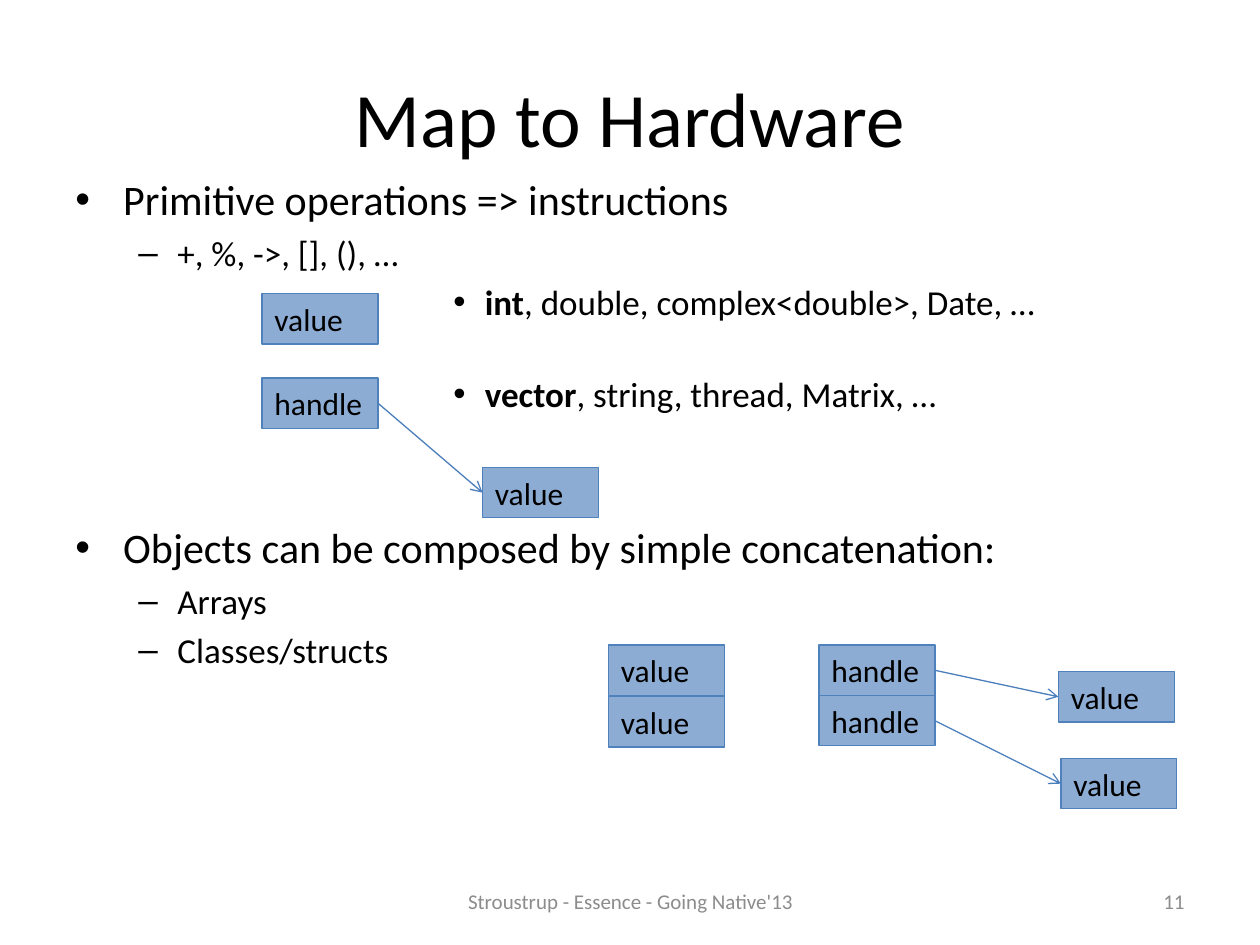
import pptx
import pptx.util
import pptx.dml.color
import pptx.enum.shapes
import pptx.enum.text
import pptx.oxml.ns
from lxml import etree

Inches = pptx.util.Inches
Pt = pptx.util.Pt
RGBColor = pptx.dml.color.RGBColor
ALIGN = pptx.enum.text.PP_ALIGN
ANCHOR = pptx.enum.text.MSO_ANCHOR
qn = pptx.oxml.ns.qn

BLACK = RGBColor(0x00, 0x00, 0x00)
GREY = RGBColor(0x8C, 0x8C, 0x8C)
BLUE = RGBColor(0x4F, 0x81, 0xBD)
ARROW_BLUE = RGBColor(0x4B, 0x7E, 0xBC)
FONT = "Calibri"
BOX_WIDTH, BOX_HEIGHT = 0.92, 0.4
RIGHT_SIDE, LEFT_SIDE = 3, 1

# level: bullet, text indent and hanging indent in inches
LEVELS = {
    "main": ("•", 0.38, 0.38),
    "sub": ("–", 0.81, 0.31),
    "example": ("•", 3.25, 0.25),
}
# level, size, space before, runs of (text, bold)
BULLETS = [
    ("main", 24, 0, [("Primitive operations => instructions", False)]),
    ("sub", 20, 4, [("+, %, ->, [], (), …", False)]),
    ("example", 20, 4, [("int", True),
                        (", double, complex<double>, Date, …", False)]),
    ("example", 20, 29, [("vector", True),
                         (", string, thread, Matrix, …", False)]),
    ("main", 24, 61, [("Objects can be composed by simple concatenation:", False)]),
    ("sub", 20, 4, [("Arrays", False)]),
    ("sub", 20, 4, [("Classes/structs", False)]),
]


def add_run(p, text, size, color=BLACK, bold=False):
    r = p.add_run()
    r.text = text
    r.font.name = FONT
    r.font.size = Pt(size)
    r.font.bold = bold
    r.font.color.rgb = color


def add_text_frame(s, left, top, width, height, anchor=ANCHOR.MIDDLE):
    tf = s.shapes.add_textbox(Inches(left), Inches(top),
                              Inches(width), Inches(height)).text_frame
    tf.word_wrap = True
    tf.vertical_anchor = anchor
    return tf


def add_label(s, text, left, top, width, height, size, color, align):
    p = add_text_frame(s, left, top, width, height).paragraphs[0]
    p.alignment = align
    add_run(p, text, size, color)


def set_bullet(p, level):
    char, indent, hanging = LEVELS[level]
    pPr = p._p.get_or_add_pPr()
    pPr.set("marL", str(Inches(indent)))
    pPr.set("indent", str(-Inches(hanging)))
    etree.SubElement(pPr, qn("a:buFont"), typeface="Arial")
    etree.SubElement(pPr, qn("a:buChar"), char=char)


def add_bullets(s):
    tf = add_text_frame(s, 0.5, 1.33, 9, 5.58, ANCHOR.TOP)
    for i, (level, size, before, runs) in enumerate(BULLETS):
        p = tf.add_paragraph() if i else tf.paragraphs[0]
        set_bullet(p, level)
        p.space_before = Pt(before)
        for text, bold in runs:
            add_run(p, text, size, bold=bold)


def add_box(s, text, left, top):
    """Add a translucent memory cell."""
    box = s.shapes.add_shape(pptx.enum.shapes.MSO_SHAPE.RECTANGLE,
                             Inches(left), Inches(top),
                             Inches(BOX_WIDTH), Inches(BOX_HEIGHT))
    box.shadow.inherit = False
    box.fill.solid()
    box.fill.fore_color.rgb = BLUE
    color = box._element.spPr.find(qn("a:solidFill")).find(qn("a:srgbClr"))
    etree.SubElement(color, qn("a:alpha"), val="65000")
    box.line.color.rgb = BLUE
    box.line.width = Pt(0.75)
    tf = box.text_frame
    tf.word_wrap = True
    tf.auto_size = pptx.enum.text.MSO_AUTO_SIZE.SHAPE_TO_FIT_TEXT
    tf.vertical_anchor = ANCHOR.TOP
    p = tf.paragraphs[0]
    p.alignment = ALIGN.LEFT
    add_run(p, text, 18)
    return box


def add_arrow(s, start, end):
    arrow = s.shapes.add_connector(pptx.enum.shapes.MSO_CONNECTOR.STRAIGHT, 0, 0, 0, 0)
    arrow.begin_connect(start, RIGHT_SIDE)
    arrow.end_connect(end, LEFT_SIDE)
    arrow.line.color.rgb = ARROW_BLUE
    arrow.line.width = Pt(0.75)
    etree.SubElement(arrow.line._get_or_add_ln(), qn("a:tailEnd"), type="arrow")
    etree.SubElement(arrow._element.spPr, qn("a:effectLst"))


def add_handle(s, handle_at, value_at):
    """Add a handle that points to its value."""
    handle = add_box(s, "handle", *handle_at)
    value = add_box(s, "value", *value_at)
    add_arrow(s, handle, value)


def main():
    prs = pptx.Presentation()
    prs.slide_width, prs.slide_height = Inches(10), Inches(7.5)
    s = prs.slides.add_slide(prs.slide_layouts[6])

    add_bullets(s)
    add_label(s, "Map to Hardware", 0.5, 0.3, 9, 1.25, 44, BLACK, ALIGN.CENTER)

    for left, top in [(2.08, 2.33), (4.83, 5.12), (4.83, 5.53)]:
        add_box(s, "value", left, top)
    add_handle(s, (2.08, 3), (3.83, 3.71))
    add_handle(s, (6.5, 5.12), (8.4, 5.33))
    add_handle(s, (6.5, 5.52), (8.42, 6.02))

    add_label(s, "Stroustrup - Essence - Going Native'13",
              3.42, 6.95, 3.17, 0.4, 12, GREY, ALIGN.CENTER)
    add_label(s, "11", 7.17, 6.95, 2.33, 0.4, 12, GREY, ALIGN.RIGHT)
    prs.save("out.pptx")


if __name__ == "__main__":
    main()
